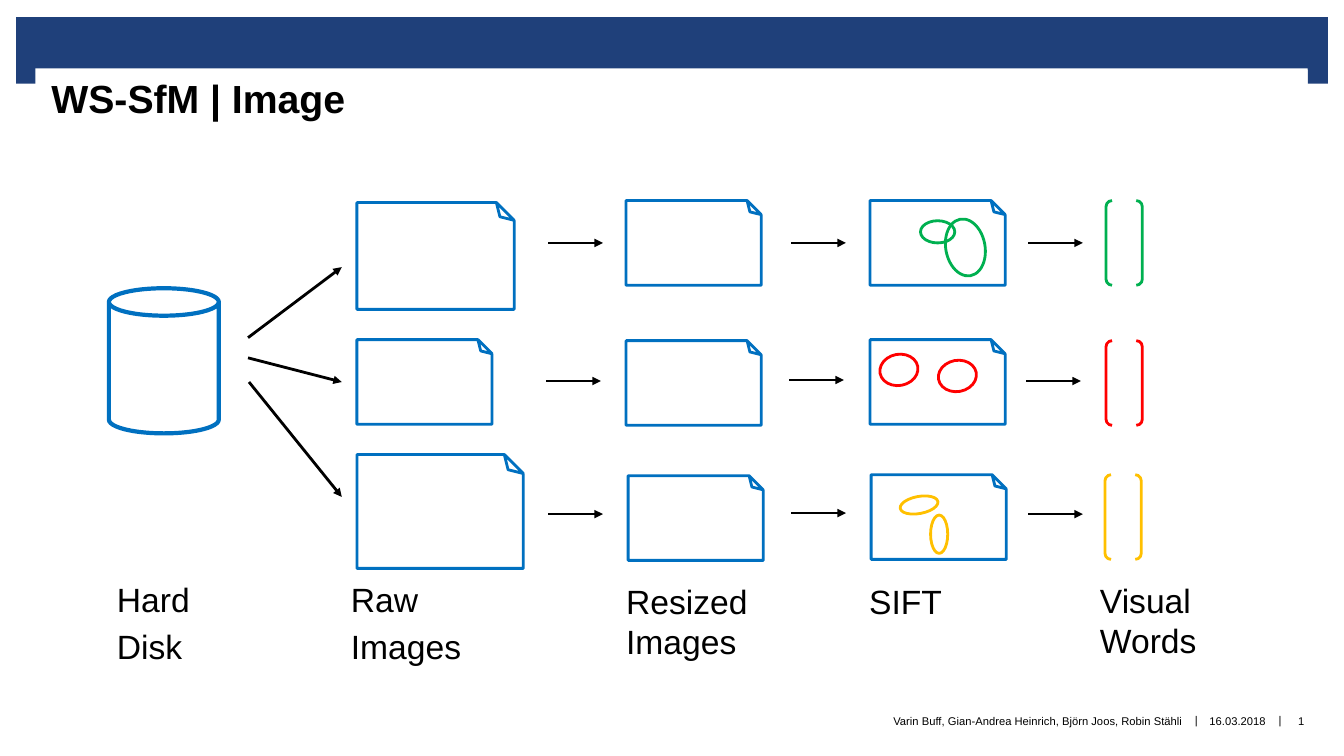
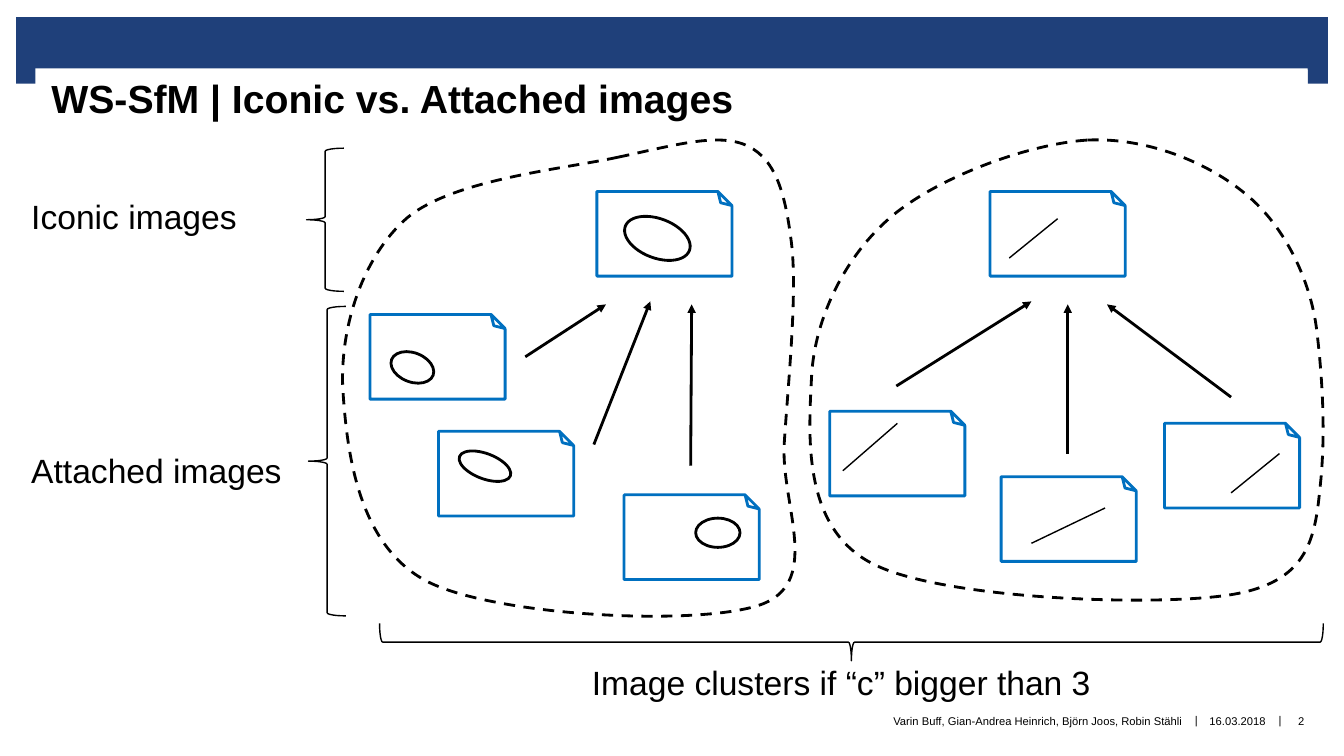
"""Builds two slides that explain image matching and image clusters in WS-SfM."""
from lxml import etree
from pptx import Presentation
from pptx.dml.color import RGBColor
from pptx.enum import dml, shapes, text
from pptx.oxml import ns
from pptx.util import Inches, Pt

COLORS = {
    "band": "1F407A",
    "outline": "0070C0",
    "ink": "000000",
    "paper": "FFFFFF",
    "green": "00B050",
    "red": "FF0000",
    "yellow": "FFC000",
}
FONT = "Arial"
AUTHORS = "Varin Buff, Gian-Andrea Heinrich, Björn Joos, Robin Stähli"
DATE = "16.03.2018"
IMAGE_SIZE = (1.34, 0.84)
LABEL_INSETS = (0.15, 0, 0.16, 0)
SHAPE = shapes.MSO_SHAPE
ALIGN = text.PP_ALIGN


def color(name):
    return RGBColor.from_string(COLORS[name])


def set_line(line, name, width):
    line.color.rgb = color(name)
    line.width = Pt(width)


def add_block(slide, left, top, width, height, fill="band"):
    block = slide.shapes.add_shape(
        SHAPE.RECTANGLE, Inches(left), Inches(top), Inches(width), Inches(height))
    block.shadow.inherit = False
    block.fill.solid()
    block.fill.fore_color.rgb = color(fill)
    block.line.fill.background()
    return block


def add_outline(slide, kind, box, line="ink", width=2, rotation=0):
    outline = slide.shapes.add_shape(kind, *(Inches(length) for length in box))
    outline.shadow.inherit = False
    outline.fill.background()
    set_line(outline.line, line, width)
    outline.rotation = rotation
    return outline


def add_image_card(slide, left, top, size=IMAGE_SIZE):
    card = add_outline(slide, SHAPE.FOLDED_CORNER, (left, top, *size), "outline")
    card.element.spPr.get_or_add_xfrm().set("flipV", "1")


def add_line(slide, start, end, width=1, arrow=False):
    line = slide.shapes.add_connector(
        shapes.MSO_CONNECTOR.STRAIGHT, *(Inches(length) for length in (*start, *end)))
    set_line(line.line, "ink", width)
    if arrow:
        outline = line.line._get_or_add_ln()
        etree.SubElement(outline, ns.qn("a:tailEnd"), type="triangle")
    etree.SubElement(line.element.spPr, ns.qn("a:effectLst"))


def add_arrow(slide, start, end):
    add_line(slide, start, end, 2, arrow=True)


def write(frame, words, size, insets, bold=False, align=ALIGN.LEFT, before=0,
          anchor=text.MSO_ANCHOR.TOP, wrap=True):
    frame.word_wrap = wrap
    frame.vertical_anchor = anchor
    (frame.margin_left, frame.margin_top,
     frame.margin_right, frame.margin_bottom) = (Inches(inset) for inset in insets)
    frame.text = words
    for paragraph in frame.paragraphs:
        paragraph.alignment = align
        paragraph.space_before = Pt(before)
        for run in paragraph.runs:
            run.font.name = FONT
            run.font.size = Pt(size)
            run.font.bold = bold
            run.font.color.rgb = color("ink")


def add_text(slide, words, left, top, width, height, **style):
    box = slide.shapes.add_textbox(
        Inches(left), Inches(top), Inches(width), Inches(height))
    write(box.text_frame, words, **style)


def add_label(slide, words, left, top, width=2.21):
    add_text(slide, words, left, top, width, 0.69,
             size=24, insets=LABEL_INSETS, before=5)


def add_footer_item(slide, words, left, width, top=6.9, height=0.51,
                    align=ALIGN.CENTER, insets=(0, 0, 0, 0)):
    add_text(slide, words, left, top, width, height, size=8, insets=insets,
             align=align, anchor=text.MSO_ANCHOR.MIDDLE, wrap=False)


def add_cluster(slide, box, start, curves):
    """Draws a dashed closed outline of cubic curves inside the given box."""
    left, top, width, height = (Inches(length) for length in box)
    builder = slide.shapes.build_freeform(left, top, 1.0)
    builder.add_line_segments([(left + width, top + height)], close=True)
    cluster = builder.convert_to_shape()
    outline = cluster.element.spPr.find(".//" + ns.qn("a:path"))
    for segment in list(outline):
        outline.remove(segment)
    segments = [("a:moveTo", (start,))]
    segments += [("a:cubicBezTo", curve) for curve in curves]
    for tag, points in segments:
        segment = etree.SubElement(outline, ns.qn(tag))
        for x, y in points:
            etree.SubElement(segment, ns.qn("a:pt"),
                             x=str(Inches(x) - left), y=str(Inches(y) - top))
    etree.SubElement(outline, ns.qn("a:close"))
    cluster.shadow.inherit = False
    cluster.fill.background()
    set_line(cluster.line, "ink", 2)
    cluster.line.dash_style = dml.MSO_LINE.DASH


def add_framed_slide(deck, title):
    slide = deck.slides.add_slide(deck.slide_layouts[6])
    add_block(slide, 0.16, 0.17, 13.01, 0.52)
    for left in (0.16, 12.97):
        add_block(slide, left, 0.65, 0.2, 0.18)
    for left in (12.62, 11.79):
        add_footer_item(slide, "|", left, 0.15, top=6.89,
                        insets=(0.04, 0.05, 0.04, 0.05))
    add_block(slide, 0.35, 6.9, 3.47, 0.51, "paper")
    add_footer_item(slide, DATE, 11.94, 0.67)
    add_footer_item(slide, AUTHORS, 6.66, 5.07, height=0.5, align=ALIGN.RIGHT)
    add_footer_item(slide, str(len(deck.slides)), 12.71, 0.39)
    heading = add_block(slide, 0.35, 0.68, 12.62, 1.06, "paper")
    write(heading.text_frame, title, 28, (0.16, 0.06, 0.16, 0), bold=True)
    return slide


def build_pipeline(deck):
    slide = add_framed_slide(deck, "WS-SfM | Image")
    add_outline(slide, SHAPE.CAN, (1.08, 2.86, 1.09, 1.44), "outline", 3)

    raw_images = ((2.01, (1.56, 1.06)), (3.37, IMAGE_SIZE), (4.51, (1.65, 1.13)))
    for top, size in raw_images:
        add_image_card(slide, 3.54, top, size)
    for start, end in (((2.46, 3.35), (3.39, 2.65)),
                       ((2.46, 3.55), (3.39, 3.79)),
                       ((2.47, 3.79), (3.39, 4.93))):
        add_arrow(slide, start, end)

    for left, top in ((6.21, 1.99), (6.21, 3.38), (6.23, 4.72),
                      (8.63, 1.99), (8.63, 3.37), (8.64, 4.71)):
        add_image_card(slide, left, top)
    for left, middle, bottom in ((5.44, 3.78, 5.1), (7.85, 3.77, 5.09), (10.2, 3.78, 5.1)):
        for tail, y in ((left, 2.41), (left - 0.02, middle), (left, bottom)):
            add_arrow(slide, (tail, y), (tail + 0.54, y))
    for left, top, feature in ((10.97, 1.99, "green"),
                               (10.97, 3.38, "red"),
                               (10.96, 4.71, "yellow")):
        add_outline(slide, SHAPE.DOUBLE_BRACKET, (left, top, 0.36, 0.84), feature)

    features = (((9.13, 2.19, 0.34, 0.22), "green", 0),
                ((9.29, 2.26, 0.57, 0.39), "green", 79.6),
                ((8.76, 3.48, 0.31, 0.38), "red", 79.6),
                ((9.34, 3.54, 0.31, 0.38), "red", 79.6),
                ((9.03, 4.82, 0.17, 0.38), "yellow", 79.6),
                ((9.23, 5.11, 0.17, 0.38), "yellow", 0))
    for box, feature, rotation in features:
        add_outline(slide, SHAPE.OVAL, box, feature, rotation=rotation)

    add_label(slide, "Hard\nDisk", 1.01, 5.74, 1.56)
    for stage, left, top in (("Raw\nImages", 3.33, 5.74),
                             ("Resized Images", 6.06, 5.76),
                             ("SIFT", 8.47, 5.76),
                             ("Visual Words", 10.76, 5.75)):
        add_label(slide, stage, left, top)


def build_clusters(deck):
    slide = add_framed_slide(deck, "WS-SfM | Iconic vs. Attached images")
    for left, top in ((5.92, 1.9), (3.67, 3.12), (4.35, 4.28), (6.19, 4.91),
                      (9.82, 1.9), (8.23, 4.08), (9.93, 4.73), (11.55, 4.2)):
        add_image_card(slide, left, top)

    for box, rotation in (((6.18, 2.17, 0.68, 0.39), 20.8),
                          ((3.87, 3.5, 0.44, 0.29), 20.8),
                          ((4.54, 4.5, 0.54, 0.25), 20.8),
                          ((6.9, 5.14, 0.44, 0.29), 0)):
        add_outline(slide, SHAPE.OVAL, box, rotation=rotation)
    for start, end in (((10.01, 2.56), (10.49, 2.17)),
                       ((8.36, 4.67), (8.9, 4.2)),
                       ((10.23, 5.39), (10.96, 5.04)),
                       ((12.21, 4.89), (12.69, 4.5))):
        add_line(slide, start, end)

    for start, end in (((5.21, 3.54), (6.01, 3.02)),
                       ((5.89, 4.41), (6.45, 2.99)),
                       ((6.85, 4.62), (6.86, 3.02)),
                       ((8.89, 3.83), (10.23, 2.99)),
                       ((10.59, 4.5), (10.59, 3.02)),
                       ((12.21, 3.94), (10.98, 3.02))):
        add_arrow(slide, start, end)

    add_cluster(slide, (3.4, 1.39, 4.48, 4.73), (6.13, 1.56), (
        ((5.57, 1.68), (4.5, 1.78), (4.04, 2.16)),
        ((3.59, 2.55), (3.37, 3.26), (3.4, 3.86)),
        ((3.44, 4.46), (3.54, 5.41), (4.24, 5.77)),
        ((4.93, 6.12), (6.98, 6.22), (7.57, 5.99)),
        ((8.16, 5.75), (7.73, 4.97), (7.78, 4.37)),
        ((7.82, 3.77), (7.91, 2.9), (7.85, 2.41)),
        ((7.79, 1.93), (7.7, 1.59), (7.42, 1.45)),
        ((7.13, 1.31), (6.7, 1.44), (6.13, 1.56))))
    add_cluster(slide, (8.03, 1.39, 5.09, 4.57), (10.78, 1.39), (
        ((10.19, 1.43), (9.3, 1.76), (8.84, 2.15)),
        ((8.38, 2.54), (8.08, 3.16), (8.05, 3.73)),
        ((8.02, 4.31), (7.95, 5.23), (8.65, 5.59)),
        ((9.34, 5.95), (11.47, 6.02), (12.21, 5.9)),
        ((12.95, 5.78), (13.04, 5.38), (13.09, 4.86)),
        ((13.15, 4.35), (13.12, 3.78), (13.06, 3.28)),
        ((13, 2.78), (12.74, 2.24), (12.36, 1.93)),
        ((11.98, 1.61), (11.37, 1.36), (10.78, 1.39))))

    for box, rotation in (((3.04, 1.47, 0.37, 1.42), 0),
                          ((3.06, 3.04, 0.37, 3.07), 0),
                          ((8.26, 1.69, 0.37, 9.36), 270)):
        add_outline(slide, SHAPE.LEFT_BRACE, box, width=1, rotation=rotation)
    add_label(slide, "Iconic images", 0.16, 1.94, 2.54)
    add_label(slide, "Attached images", 0.16, 4.46, 2.86)
    add_label(slide, "Image clusters if “c” bigger than 3", 5.72, 6.57, 5.47)


def main():
    deck = Presentation()
    deck.slide_width, deck.slide_height = Inches(13.33), Inches(7.5)
    build_pipeline(deck)
    build_clusters(deck)
    deck.save("out.pptx")


if __name__ == "__main__":
    main()
